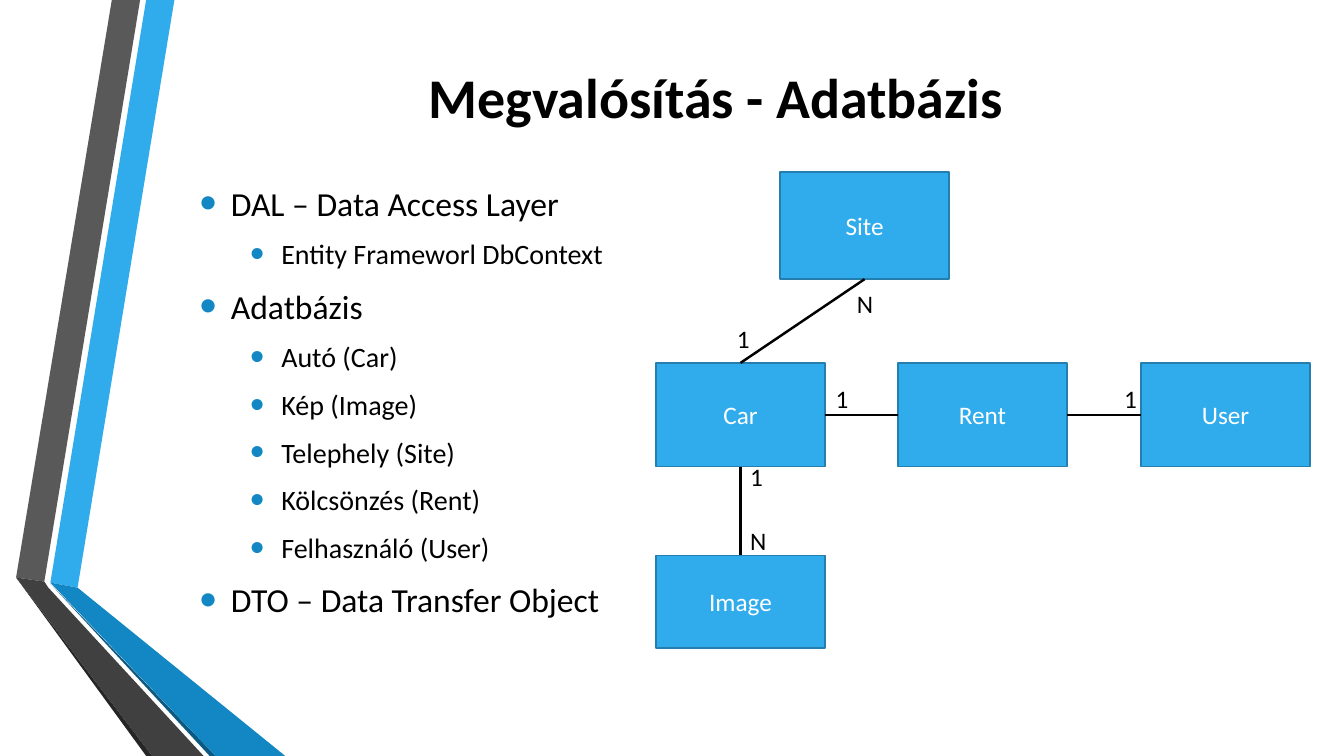
"""Builds the slide on the database design of a car rental system."""
import dataclasses

import lxml.etree
import pptx
import pptx.dml.color
import pptx.enum.shapes
import pptx.enum.text
import pptx.oxml.ns
import pptx.util

Inches = pptx.util.Inches
Pt = pptx.util.Pt
qn = pptx.oxml.ns.qn
Align = pptx.enum.text.PP_ALIGN
Anchor = pptx.enum.text.MSO_ANCHOR
AutoSize = pptx.enum.text.MSO_AUTO_SIZE


@dataclasses.dataclass(frozen=True)
class Theme:
    font: str = "Calibri"
    title_size: int = 40
    list_sizes: tuple = (24, 20)
    label_size: int = 18
    black: str = "000000"
    white: str = "FFFFFF"
    blue: str = "30ACEC"
    outline: str = "247FAF"
    deep_blue: str = "1287C3"
    dark_blue: str = "0C5A82"
    gray: str = "595959"
    deep_gray: str = "404040"
    dark_gray: str = "262626"


theme = Theme()


def color(value):
    return pptx.dml.color.RGBColor.from_string(value)


def write(para, text, size=theme.label_size, ink=theme.black, bold=False, align=Align.LEFT):
    para.alignment = align
    span = para.add_run()
    span.text = text
    span.font.name = theme.font
    span.font.size = Pt(size)
    span.font.bold = bold
    span.font.color.rgb = color(ink)


deck = pptx.Presentation()
deck.slide_width = Inches(13.33)
deck.slide_height = Inches(7.5)
page = deck.slides.add_slide(deck.slide_layouts[1])

ribbons = [
    (theme.blue, [(0.5, 5.78), (0.77, 5.83), (1.73, 0), (1.45, 0)]),
    (theme.gray, [(1.39, 0), (1.11, 0), (0.16, 5.73), (0.44, 5.77)]),
    (theme.dark_gray, [(0.16, 5.73), (1.45, 7.5), (1.51, 7.5)]),
    (theme.dark_blue, [(0.5, 5.79), (2.08, 7.5), (2.14, 7.5)]),
    (theme.deep_blue, [(0.5, 5.78), (2.14, 7.5), (2.83, 7.5), (0.77, 5.83)]),
    (theme.deep_gray, [(2.02, 7.5), (0.48, 5.83), (0.44, 5.77), (0.16, 5.73), (1.51, 7.5)]),
]
for fill, corners in ribbons:
    points = [(round(x * 100), round(y * 100)) for x, y in corners]
    builder = page.shapes.build_freeform(*points[0], scale=Inches(0.01))
    builder.add_line_segments(points[1:], close=True)
    ribbon = builder.convert_to_shape()
    ribbon.shadow.inherit = False
    ribbon.fill.solid()
    ribbon.fill.fore_color.rgb = color(fill)
    ribbon.line.fill.background()

title = page.shapes.title
title.left, title.top, title.width, title.height = map(Inches, (1.62, -0.01, 10.96, 1.92))
title.text_frame.vertical_anchor = Anchor.MIDDLE
write(title.text_frame.paragraphs[0], "Megvalósítás - Adatbázis",
      size=theme.title_size, bold=True, align=Align.CENTER)

body = page.placeholders[1]
body.left, body.top, body.width, body.height = map(Inches, (1.88, 1.76, 4.37, 4.57))
body.text_frame.auto_size = AutoSize.NONE
body.text_frame.vertical_anchor = Anchor.TOP
topics = [
    (0, "DAL – Data Access Layer"),
    (1, "Entity Frameworl DbContext"),
    (0, "Adatbázis"),
    (1, "Autó (Car)"),
    (1, "Kép (Image)"),
    (1, "Telephely (Site)"),
    (1, "Kölcsönzés (Rent)"),
    (1, "Felhasználó (User)"),
    (0, "DTO – Data Transfer Object"),
]
for index, (level, topic) in enumerate(topics):
    para = body.text_frame.add_paragraph() if index else body.text_frame.paragraphs[0]
    size = theme.list_sizes[level]
    write(para, topic, size=size)
    para.level = level
    para.space_before = Pt(size * 0.2)
    para.space_after = Pt(6)
    properties = para._p.get_or_add_pPr()
    properties.set("marL", str(Inches(0.31 + 0.5 * level)))
    properties.set("indent", str(Inches(-0.31)))
    bullet_color = lxml.etree.SubElement(properties, qn("a:buClr"))
    lxml.etree.SubElement(bullet_color, qn("a:srgbClr"), val=theme.deep_blue)
    lxml.etree.SubElement(properties, qn("a:buSzPct"), val="145000")
    lxml.etree.SubElement(properties, qn("a:buFont"), typeface="Arial")
    lxml.etree.SubElement(properties, qn("a:buChar"), char="•")

entities = {}
for name, left, top, height in [
    ("Car", 6.51, 3.6, 1.03),
    ("Image", 6.51, 5.51, 0.92),
    ("Site", 7.74, 1.71, 1.06),
    ("User", 11.32, 3.6, 1.03),
    ("Rent", 8.91, 3.6, 1.03),
]:
    box = page.shapes.add_shape(pptx.enum.shapes.MSO_SHAPE.RECTANGLE,
                                Inches(left), Inches(top), Inches(1.67), Inches(height))
    box.shadow.inherit = False
    box.fill.solid()
    box.fill.fore_color.rgb = color(theme.blue)
    box.line.color.rgb = color(theme.outline)
    box.line.width = Pt(1.25)
    box.text_frame.vertical_anchor = Anchor.MIDDLE
    write(box.text_frame.paragraphs[0], name, ink=theme.white, align=Align.CENTER)
    entities[name] = box

TOP, LEFT, BOTTOM, RIGHT = range(4)
for start, start_side, end, end_side in [
    ("Site", BOTTOM, "Car", TOP),
    ("Car", RIGHT, "Rent", LEFT),
    ("Rent", RIGHT, "User", LEFT),
    ("Car", BOTTOM, "Image", TOP),
]:
    relation = page.shapes.add_connector(pptx.enum.shapes.MSO_CONNECTOR.STRAIGHT, 0, 0, 0, 0)
    relation.begin_connect(entities[start], start_side)
    relation.end_connect(entities[end], end_side)
    relation.line.color.rgb = color(theme.black)
    relation.line.width = Pt(1.75)
    lxml.etree.SubElement(relation._element.spPr, qn("a:effectLst"))

for count, left, top in [
    ("1", 7.21, 3.16),
    ("1", 8.19, 3.75),
    ("1", 11.05, 3.75),
    ("N", 8.4, 2.81),
    ("1", 7.34, 4.53),
    ("N", 7.34, 5.16),
]:
    label = page.shapes.add_textbox(Inches(left), Inches(top), Inches(0.25), Inches(0.4))
    label.text_frame.word_wrap = True
    label.text_frame.auto_size = AutoSize.SHAPE_TO_FIT_TEXT
    write(label.text_frame.paragraphs[0], count)

deck.save("out.pptx")
